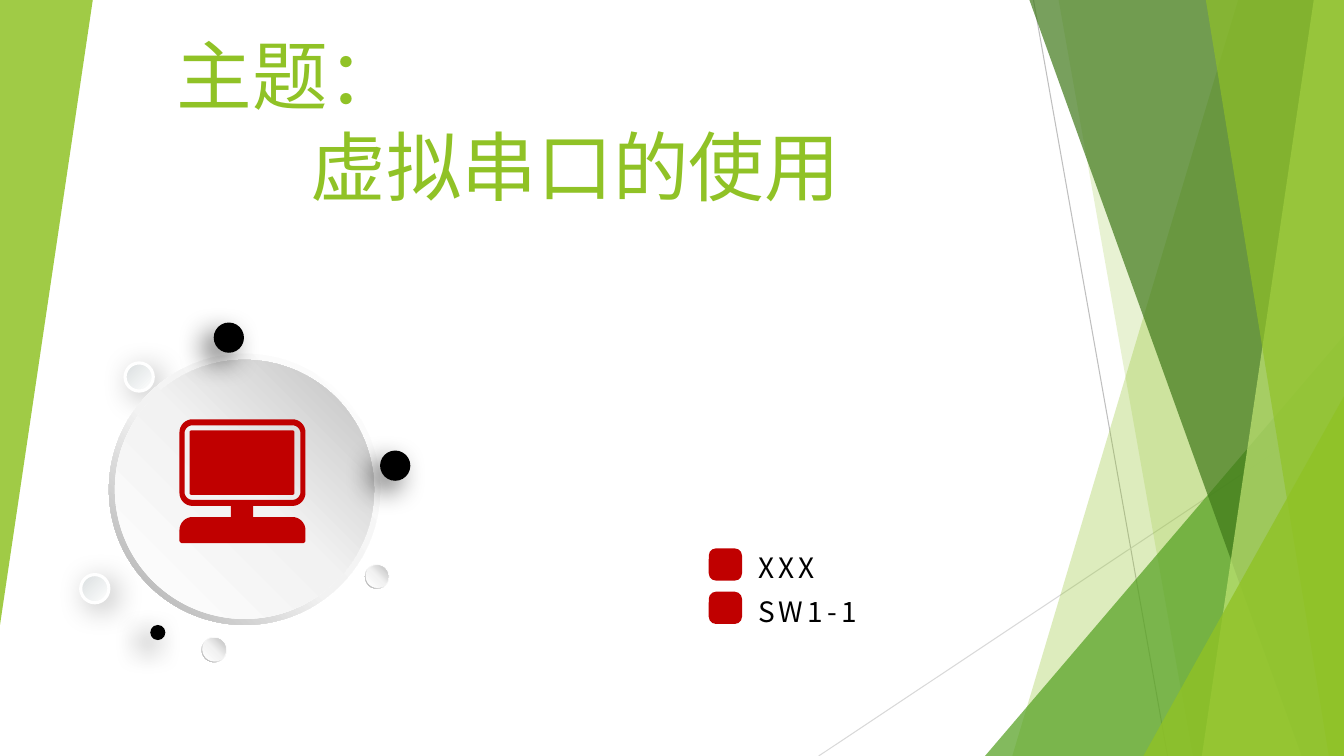
import math
from dataclasses import dataclass
from lxml import etree
from pptx import Presentation, util as u
from pptx.dml.color import RGBColor
from pptx.enum import shapes, text
from pptx.oxml import ns

WIDTH, HEIGHT = 13.33, 7.5
SHAPE = shapes.MSO_SHAPE


@dataclass(frozen=True)
class Theme:
    title_font: str = "Roboto"
    body_font: str = "Noto Sans CJK JP"
    title_size: int = 54
    body_size: int = 20
    lime: str = "90C226"
    green: str = "54A021"
    forest: str = "3F7819"
    pale: str = "C0E474"
    red: str = "C00000"
    black: str = "000000"
    white: str = "FFFFFF"
    steep_line: str = "BFBFBF"
    flat_line: str = "D9D9D9"
    rim: tuple = ((0, "FFFFFF"), (55, "F2F2F2"), (100, "A6A6A6"))
    face: tuple = ((0, "FFFFFF"), (51, "F2F2F2"), (100, "BFBFBF"))
    bead: tuple = ((0, "D9DEDF"), (100, "FFFFFF"))
    bead_shadow: tuple = (28, 22, 6, 45)
    dot_shadow: tuple = (60, 20, 10, 135)


def child(parent, tag, **attributes):
    element = etree.SubElement(parent, ns.qn(tag))
    for name, value in attributes.items():
        element.set(name, str(value))
    return element


def corners(left, top, right, bottom, radius):
    return [(left, top, radius), (right, top, radius),
            (right, bottom, radius), (left, bottom, radius)]


def rounded(outline, steps=8):
    points = []
    for i, (x, y, radius) in enumerate(outline):
        if not radius:
            points.append((x, y))
            continue
        before, after = outline[i - 1], outline[(i + 1) % len(outline)]
        (ax, ay), (bx, by) = [
            ((n[0] - x) / math.dist(n[:2], (x, y)) * radius,
             (n[1] - y) / math.dist(n[:2], (x, y)) * radius)
            for n in (before, after)]
        for step in range(steps + 1):
            angle = math.pi / 2 * step / steps
            a, b = 1 - math.sin(angle), 1 - math.cos(angle)
            points.append((x + ax * a + bx * b, y + ay * a + by * b))
    return points


class SlideBuilder:
    def __init__(self, page, theme):
        self.page = page
        self.theme = theme

    def paint(self, shape, color, opacity=100):
        shape.shadow.inherit = False
        shape.line.fill.background()
        shape.fill.solid()
        shape.fill.fore_color.rgb = RGBColor.from_string(color)
        if opacity < 100:
            tint = shape._element.spPr.find(".//" + ns.qn("a:srgbClr"))
            child(tint, "a:alpha", val=opacity * 1000)
        return shape

    def shape(self, kind, left, top, width, height, color, opacity=100, adjust=None):
        shape = self.page.shapes.add_shape(
            kind, u.Inches(left), u.Inches(top), u.Inches(width), u.Inches(height))
        if adjust is not None:
            shape.adjustments[0] = adjust
        return self.paint(shape, color, opacity)

    def gradient(self, shape, stops, angle):
        solid = shape._element.spPr.find(ns.qn("a:solidFill"))
        blend = etree.Element(ns.qn("a:gradFill"), rotWithShape="1")
        stop_list = child(blend, "a:gsLst")
        for position, color in stops:
            stop = child(stop_list, "a:gs", pos=position * 1000)
            child(stop, "a:srgbClr", val=color)
        child(blend, "a:lin", ang=angle * 60000, scaled=0)
        solid.getparent().replace(solid, blend)

    def shadow(self, shape, opacity, blur, distance, angle):
        effects = shape._element.spPr.find(ns.qn("a:effectLst"))
        outer = child(effects, "a:outerShdw", blurRad=u.Pt(blur), dist=u.Pt(distance),
                      dir=angle * 60000, algn="ctr", rotWithShape=0)
        child(child(outer, "a:srgbClr", val=self.theme.black),
              "a:alpha", val=opacity * 1000)

    def outline(self, contours, color, opacity=100):
        contours = [[(u.Inches(x), u.Inches(y)) for x, y in points] for points in contours]
        builder = self.page.shapes.build_freeform(*contours[0][0])
        builder.add_line_segments(contours[0][1:])
        for points in contours[1:]:
            builder.move_to(*points[0])
            builder.add_line_segments(points[1:])
        return self.paint(builder.convert_to_shape(), color, opacity)

    def panel(self, top_x, bottom_x, color, opacity):
        self.outline([[(top_x, 0), (WIDTH, 0), (WIDTH, HEIGHT), (bottom_x, HEIGHT)]],
                     color, opacity)

    def corner_triangle(self, left, top, color, opacity):
        self.shape(SHAPE.ISOSCELES_TRIANGLE, left, top, WIDTH - left, HEIGHT - top,
                   color, opacity, 1)

    def line(self, x1, y1, x2, y2, color):
        line = self.page.shapes.add_connector(
            shapes.MSO_CONNECTOR.STRAIGHT, *map(u.Inches, (x1, y1, x2, y2)))
        line.line.color.rgb = RGBColor.from_string(color)
        line.line.width = u.Pt(0.75)
        child(line._element.spPr, "a:effectLst")

    def button(self, left, top, size, inset):
        rim = self.shape(SHAPE.DONUT, left, top, size, size, self.theme.white, adjust=0.049)
        self.gradient(rim, self.theme.rim, 135)
        inner = size - 2 * inset
        face = self.shape(SHAPE.OVAL, left + inset, top + inset, inner, inner,
                          self.theme.white)
        self.gradient(face, self.theme.face, 315)

    def bead(self, left, top):
        bead = self.shape(SHAPE.OVAL, left, top, 0.28, 0.28, self.theme.white)
        self.gradient(bead, self.theme.bead, 45)
        bead.line.color.rgb = RGBColor.from_string(self.theme.white)
        bead.line.width = u.Pt(2.25)
        self.shadow(bead, *self.theme.bead_shadow)

    def dot(self, left, top, size):
        dot = self.shape(SHAPE.OVAL, left, top, size, size, self.theme.black)
        self.shadow(dot, *self.theme.dot_shadow)

    def format_span(self, span, font, size, color):
        span.font.name = font
        span.font.size = u.Pt(size)
        span.font.color.rgb = RGBColor.from_string(color)
        child(span.font._element, "a:ea", typeface=font)

    def title(self, first, second, indent):
        box = self.page.shapes.title
        box.left, box.top, box.width, box.height = map(u.Inches, (1.65, 0.34, 8.49, 1.8))
        frame = box.text_frame
        frame.auto_size = text.MSO_AUTO_SIZE.NONE
        frame.vertical_anchor = text.MSO_ANCHOR.BOTTOM
        frame.text = f"{first}\n{second}"
        for para in frame.paragraphs:
            para.alignment = text.PP_ALIGN.LEFT
            para.space_before = u.Pt(0)
            self.format_span(para.runs[0], self.theme.title_font,
                             self.theme.title_size, self.theme.lime)
        frame.paragraphs[1]._p.get_or_add_pPr().set("marL", str(u.Inches(indent)))

    def label(self, words, left, top, width):
        box = self.page.shapes.add_textbox(*map(u.Inches, (left, top, width, 0.44)))
        frame = box.text_frame
        frame.word_wrap = False
        frame.auto_size = text.MSO_AUTO_SIZE.SHAPE_TO_FIT_TEXT
        frame.text = words
        span = frame.paragraphs[0].runs[0]
        self.format_span(span, self.theme.body_font, self.theme.body_size, self.theme.black)
        span.font._element.set("spc", "300")

    def computer(self):
        body = [(1.78, 4.16, 0.13), (3.03, 4.16, 0.13), (3.03, 5.02, 0.13),
                (2.51, 5.02, 0), (2.51, 5.13, 0), (3.03, 5.13, 0.13),
                (3.03, 5.39, 0.03), (1.78, 5.39, 0.03), (1.78, 5.13, 0.13),
                (2.29, 5.13, 0), (2.29, 5.02, 0), (1.78, 5.02, 0.13)]
        gap = corners(1.83, 4.22, 2.98, 4.96, 0.08)[::-1]
        screen = corners(1.88, 4.27, 2.92, 4.91, 0.02)
        self.outline([rounded(part) for part in (body, gap, screen)], self.theme.red)


def main():
    theme = Theme()
    deck = Presentation()
    deck.slide_width, deck.slide_height = u.Inches(WIDTH), u.Inches(HEIGHT)
    slide = SlideBuilder(deck.slides.add_slide(deck.slide_layouts[5]), theme)

    slide.line(10.25, 0, 11.58, HEIGHT, theme.steep_line)
    slide.line(WIDTH, 4.03, 8.12, HEIGHT, theme.flat_line)
    slide.panel(12.28, 10.04, theme.lime, 30)
    slide.panel(10.5, 11.83, theme.lime, 20)
    slide.corner_triangle(9.77, 3.33, theme.green, 72)
    slide.panel(10.21, 12.91, theme.forest, 70)
    slide.panel(13.03, 11.92, theme.pale, 70)
    slide.panel(11.96, 13.18, theme.lime, 65)
    slide.corner_triangle(11.34, 3.93, theme.lime, 80)
    left_wedge = slide.shape(SHAPE.ISOSCELES_TRIANGLE, 0, 0, 0.92, 6.2, theme.lime, 85, 1)
    left_wedge.rotation = 180

    slide.title("主题：", "虚拟串口的使用", 1.33)
    for row, (words, width) in enumerate((("XXX", 0.82), ("SW1-1", 1.24))):
        slide.label(words, 7.42, 5.41 + 0.44 * row, width)
        slide.shape(SHAPE.ROUNDED_RECTANGLE, 7.03, 5.44 + 0.43 * row, 0.33, 0.32,
                    theme.red, adjust=0.225)

    for left, top in ((1.24, 3.6), (0.8, 5.7)):
        slide.bead(left, top)
    for left, top, size, inset in ((1.08, 3.51, 2.69, 0.06), (2, 6.32, 0.25, 0.01),
                                   (3.62, 5.6, 0.24, 0.01)):
        slide.button(left, top, size, inset)
    slide.computer()
    for left, top, size in ((2.12, 3.2, 0.3), (3.77, 4.47, 0.3), (1.49, 6.2, 0.15)):
        slide.dot(left, top, size)
    deck.save("out.pptx")


if __name__ == "__main__":
    main()
